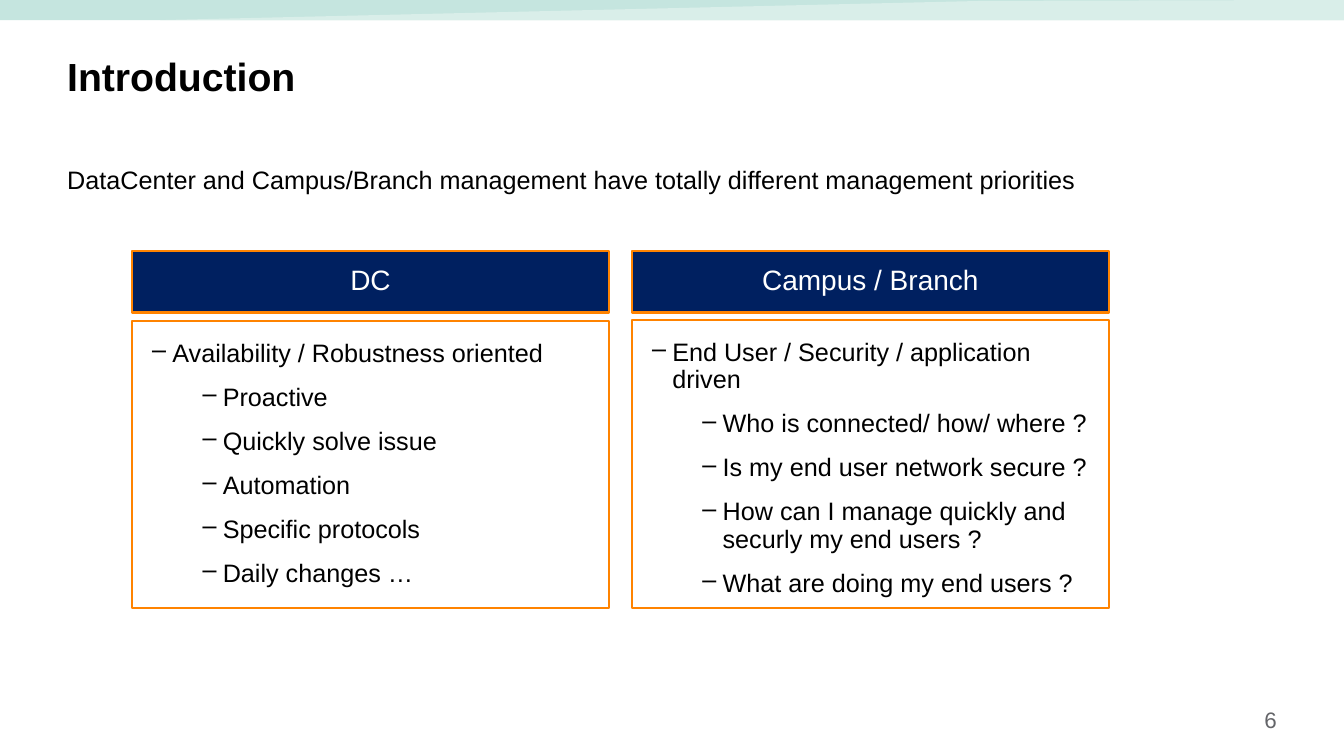
from lxml import etree
from pptx import Presentation
from pptx.dml.color import RGBColor
from pptx.enum.shapes import MSO_SHAPE
from pptx.enum.text import MSO_ANCHOR, MSO_AUTO_SIZE, PP_ALIGN
from pptx.oxml.ns import qn
from pptx.util import Pt

RECT = MSO_SHAPE.RECTANGLE
TOP, MIDDLE, BOTTOM = MSO_ANCHOR.TOP, MSO_ANCHOR.MIDDLE, MSO_ANCHOR.BOTTOM
LEFT, CENTER, RIGHT = PP_ALIGN.LEFT, PP_ALIGN.CENTER, PP_ALIGN.RIGHT
NO_FIT = MSO_AUTO_SIZE.NONE

NAVY, ORANGE, BLACK, WHITE = "002060", "FF8300", "000000", "FFFFFF"
MINT, PALE, GREY = "C5E5DF", "D9EEE9", "646569"
WIDTH, HEIGHT = 960, 540
MARGIN = 48
PANELS = [
    ("DC", 229, [
        "Availability / Robustness oriented",
        "Proactive",
        "Quickly solve issue",
        "Automation",
        "Specific protocols",
        "Daily changes …",
    ]),
    ("Campus / Branch", 228.3, [
        "End User / Security / application driven",
        "Who is connected/ how/ where ?",
        "Is my end user network secure ?",
        "How can I manage quickly and securly my end users ?",
        "What are doing my end users ?",
    ]),
]


def color(code):
    return RGBColor.from_string(code)


def paint(shape, fill=None, line=None):
    shape.shadow.inherit = False
    if fill:
        shape.fill.solid()
        shape.fill.fore_color.rgb = color(fill)
    else:
        shape.fill.background()
    if line:
        shape.line.color.rgb = color(line)
        shape.line.width = Pt(1.5)
    else:
        shape.line.fill.background()


def add_rect(slide, box, **look):
    shape = slide.shapes.add_shape(RECT, *map(Pt, box))
    paint(shape, **look)
    return shape


def place(shape, box):
    shape.left, shape.top, shape.width, shape.height = map(Pt, box)


def set_mark(para, mark, left, hang):
    props = para._p.get_or_add_pPr()
    props.set("marL", str(Pt(left)))
    props.set("indent", str(Pt(-hang)))
    if mark:
        etree.SubElement(props, qn("a:buChar")).set("char", mark)
    else:
        etree.SubElement(props, qn("a:buNone"))


def write(shape, text, size=18, ink=BLACK, bold=False, align=LEFT,
          anchor=TOP, inset=0, mark=None):
    """Write one line or a list; list items after the first sit a level lower."""
    frame = shape.text_frame
    frame.word_wrap = True
    frame.auto_size = NO_FIT
    frame.vertical_anchor = anchor
    frame.margin_left = frame.margin_right = Pt(inset)
    frame.margin_top = frame.margin_bottom = Pt(inset)
    lines = [text] if isinstance(text, str) else text
    for row, line in enumerate(lines):
        para = frame.add_paragraph() if row else frame.paragraphs[0]
        level = min(row, 1)
        hang = 14.4 if mark else 0
        set_mark(para, mark, hang + 36 * level, hang)
        para.level = level
        para.alignment = align
        para.line_spacing = 0.9
        para.space_before = Pt(12 if row else 0)
        run = para.add_run()
        run.text = line
        run.font.name = "Arial"
        run.font.size = Pt(size)
        run.font.bold = bold
        run.font.color.rgb = color(ink)


def add_band(slide, box):
    left, top, width, height = box
    add_rect(slide, box, fill=MINT)
    # Pale wedge over the right part of the band
    right, base = left + width, top + height
    pen = slide.shapes.build_freeform(Pt(left + 114.5), Pt(base))
    pen.add_line_segments([(Pt(x), Pt(y)) for x, y in
                           [(left + 701.3, top + 0.7), (right, top), (right, base)]])
    paint(pen.convert_to_shape(), fill=PALE)


def add_panel(slide, box, name, items, depth):
    left, top, width, height = box
    head = add_rect(slide, (left, top, width, 44), fill=NAVY, line=ORANGE)
    write(head, name, size=20, ink=WHITE, align=CENTER, anchor=MIDDLE, inset=4)
    body = add_rect(slide, (left, depth, width, top + height - depth), line=ORANGE)
    write(body, items, inset=14.4, mark="–")


def add_panels(slide, box):
    left, top, width, height = box
    gap = 16.4
    wide = (width - gap * (len(PANELS) - 1)) / len(PANELS)
    for col, (name, depth, items) in enumerate(PANELS):
        spot = (left + col * (wide + gap), top, wide, height)
        add_panel(slide, spot, name, items, depth)


def add_number(slide, box, text):
    label = slide.shapes.add_textbox(*map(Pt, box))
    write(label, text, size=16, ink=GREY, align=RIGHT, anchor=BOTTOM)


def add_intro(deck):
    slide = deck.slides.add_slide(deck.slide_layouts[1])
    wide = WIDTH - 2 * MARGIN
    # Top band
    add_band(slide, (0, 0, WIDTH, 14.4))
    # Title and lead sentence
    title, lead = slide.placeholders
    place(title, (MARGIN, 41, wide, 67))
    write(title, "Introduction", size=28, bold=True)
    place(lead, (MARGIN, 120, wide, 360))
    write(lead, "DataCenter and Campus/Branch management have totally "
                "different management priorities")
    # Comparison panels
    add_panels(slide, (94.3, 179.3, 697.8, 255))
    # Page number
    add_number(slide, (892, 507, 20, 17), "6")


def main():
    deck = Presentation()
    deck.slide_width, deck.slide_height = Pt(WIDTH), Pt(HEIGHT)
    add_intro(deck)
    deck.save("out.pptx")


if __name__ == "__main__":
    main()
